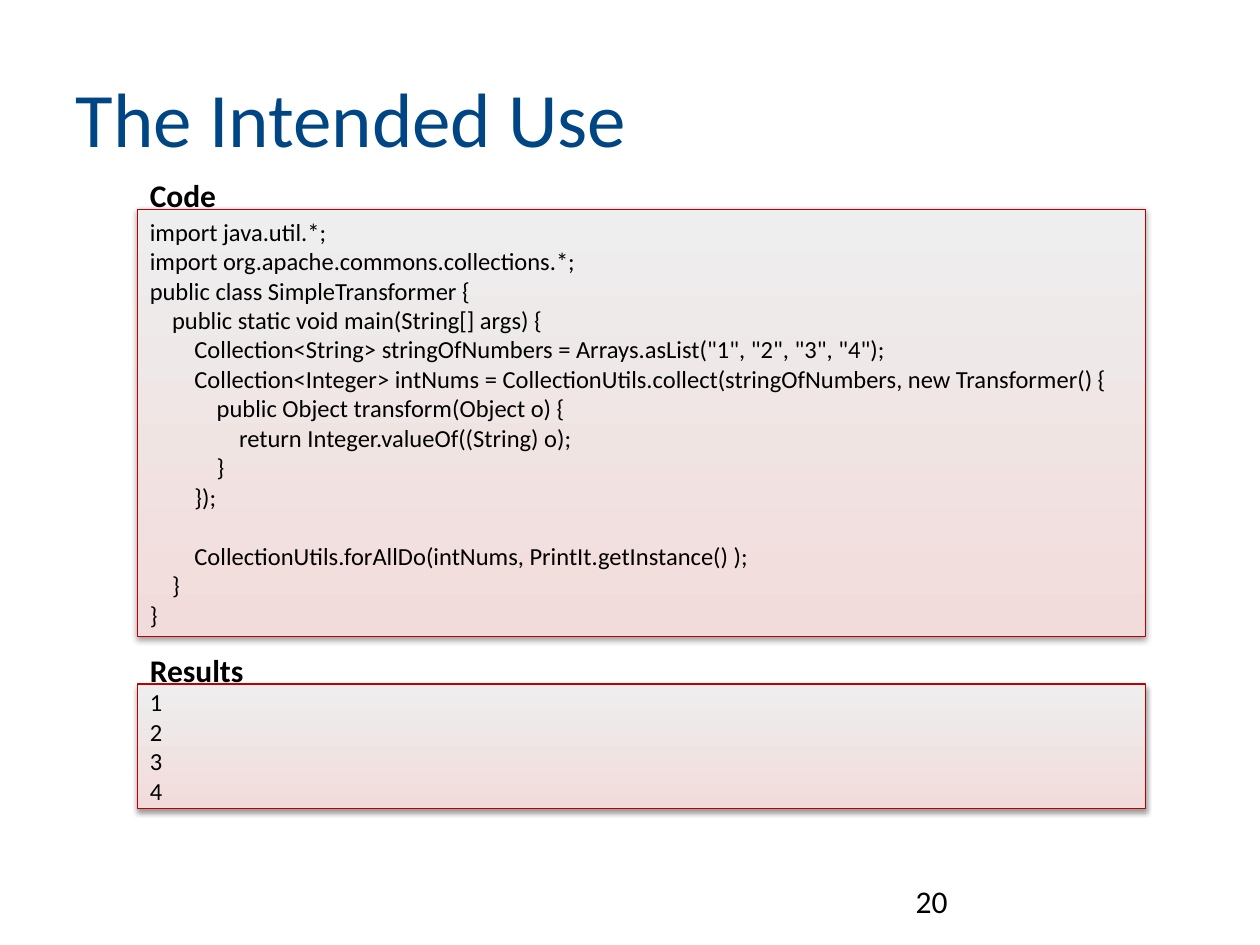
from dataclasses import dataclass

from lxml.etree import SubElement
from pptx import Presentation
from pptx.dml.color import RGBColor
from pptx.enum.shapes import MSO_SHAPE
from pptx.enum.text import MSO_ANCHOR, PP_ALIGN
from pptx.oxml.ns import qn
from pptx.util import Cm, Pt


@dataclass(frozen=True)
class Theme:
    """Colours, font and type sizes of the slide."""
    font: str = "Calibri"
    title: RGBColor = RGBColor(0x00, 0x46, 0x85)
    text: RGBColor = RGBColor(0x00, 0x00, 0x00)
    panel_bottom: RGBColor = RGBColor(0xF2, 0xDC, 0xDB)
    panel_top: RGBColor = RGBColor(0xEE, 0xEE, 0xEE)
    border: RGBColor = RGBColor(0xC0, 0x00, 0x00)
    title_size: Pt = Pt(44)
    label_size: Pt = Pt(18)
    code_size: Pt = Pt(14)
    code_line: Pt = Pt(17)
    code_indent: Cm = Cm(0.45)


THEME = Theme()

CODE = """import java.util.*;
import org.apache.commons.collections.*;
public class SimpleTransformer {
    public static void main(String[] args) {
        Collection<String> stringOfNumbers = Arrays.asList("1", "2", "3", "4");
        Collection<Integer> intNums = CollectionUtils.collect(stringOfNumbers, new Transformer() {
            public Object transform(Object o) {
                return Integer.valueOf((String) o);
            }
        });

        CollectionUtils.forAllDo(intNums, PrintIt.getInstance() );
    }
}"""
RESULTS = "1\n2\n3\n4"


def style(paragraph, size, color=THEME.text, bold=False):
    """Set the font of a left-aligned paragraph."""
    paragraph.alignment = PP_ALIGN.LEFT
    font = paragraph.font
    font.name, font.size, font.bold = THEME.font, size, bold
    font.color.rgb = color


def add_title(slide, text, box):
    """Place and format the title placeholder."""
    title = slide.shapes.title
    title.left, title.top, title.width, title.height = box
    title.text_frame.text = text
    title.text_frame.vertical_anchor = MSO_ANCHOR.MIDDLE
    style(title.text_frame.paragraphs[0], THEME.title_size, THEME.title)


def add_label(slide, text, box, bold=False):
    """Add a single line of label text."""
    frame = slide.shapes.add_textbox(*box).text_frame
    frame.word_wrap = True
    frame.text = text
    style(frame.paragraphs[0], THEME.label_size, bold=bold)


def add_shadow(shape):
    """Give the shape a soft shadow just below it."""
    shape.shadow.inherit = False
    effects = shape._element.spPr.find(qn("a:effectLst"))
    shadow = SubElement(effects, qn("a:outerShdw"), blurRad=str(Pt(3.1)),
                        dist=str(Pt(1.6)), dir="5400000", rotWithShape="0")
    color = SubElement(shadow, qn("a:srgbClr"), val="000000")
    SubElement(color, qn("a:alpha"), val="38000")


def write_lines(frame, text):
    """Write one paragraph a line, with indents and gaps as paragraph formats."""
    gap = Pt(0)
    paragraph = frame.paragraphs[0]
    for line in text.splitlines():
        code = line.lstrip()
        if not code:
            gap = THEME.code_line
            continue
        if paragraph.runs:
            paragraph = frame.add_paragraph()
        paragraph.text = code
        paragraph.space_before, gap = gap, Pt(0)
        depth = (len(line) - len(code)) // 4
        paragraph._p.get_or_add_pPr().set("marL", str(depth * THEME.code_indent))
        style(paragraph, THEME.code_size)


def add_panel(slide, heading, text, box):
    """Add a shaded text panel with its heading on the top edge."""
    left, top, width, height = box
    panel = slide.shapes.add_shape(MSO_SHAPE.RECTANGLE, *box)
    panel.fill.gradient()
    panel.fill.gradient_angle = 90
    for stop, color in zip(panel.fill.gradient_stops,
                           (THEME.panel_bottom, THEME.panel_top)):
        stop.color.rgb = color
    panel.line.color.rgb = THEME.border
    panel.line.width = Pt(0.75)
    add_shadow(panel)
    panel.text_frame.word_wrap = True
    panel.text_frame.vertical_anchor = MSO_ANCHOR.MIDDLE
    write_lines(panel.text_frame, text)
    add_label(slide, heading, (left, top - Cm(0.8), Cm(2.64), Cm(1.02)), bold=True)


def main():
    """Build and save the slide."""
    presentation = Presentation()
    presentation.slide_width, presentation.slide_height = Cm(25.4), Cm(19.05)
    slide = presentation.slides.add_slide(presentation.slide_layouts[5])
    add_title(slide, "The Intended Use", (Cm(1.27), Cm(0.76), Cm(22.86), Cm(3.18)))
    left, width = Cm(2.77), Cm(20.32)
    add_panel(slide, "Code", CODE, (left, Cm(4.22), width, Cm(8.61)))
    add_panel(slide, "Results", RESULTS, (left, Cm(13.79), width, Cm(2.51)))
    add_label(slide, "20", (Cm(18.21), Cm(17.65), Cm(5.92), Cm(1.02)))
    presentation.save("out.pptx")


if __name__ == "__main__":
    main()
